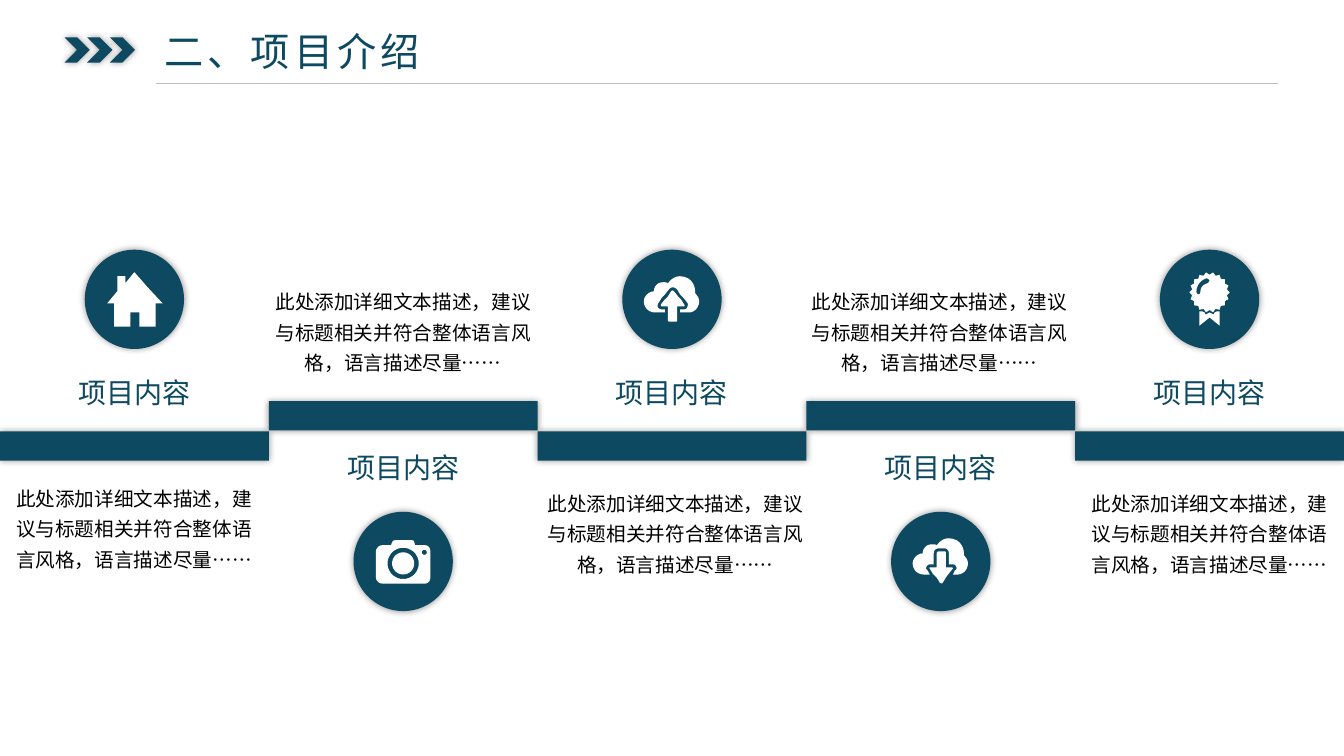
from dataclasses import dataclass
from math import cos, pi, sin

from lxml.etree import SubElement
from pptx import Presentation
from pptx.dml.color import RGBColor
from pptx.enum.shapes import MSO_CONNECTOR as Connector, MSO_SHAPE as Preset
from pptx.enum.text import MSO_ANCHOR as Anchor, MSO_AUTO_SIZE as AutoSize, PP_ALIGN as Align
from pptx.oxml.ns import qn
from pptx.util import Inches, Pt

COLORS = {"teal": "0D4960", "white": "FFFFFF", "black": "000000", "rule": "BFBFBF"}
HEADING_FONT, BODY_FONT = "Noto Sans CJK JP", "Noto Sans CJK SC"
DESCRIPTION = "此处添加详细文本描述，建议与标题相关并符合整体语言风格，语言描述尽量……"
COLUMN_WIDTH = 13.333 / 5
BAR_HEIGHT = 0.29
CIRCLE_SIZE = 0.985
CURVE_STEPS = 6

Step = tuple[float, ...]
Contour = list[Step]


def ring(x: float, y: float, outer: float, inner: float, count: int = 36) -> Contour:
    """Return a closed ring of points that alternate between two radii."""
    radii = (outer, inner)
    return [(x + radii[i % 2] * cos(2 * pi * i / count), y + radii[i % 2] * sin(2 * pi * i / count))
            for i in range(count)]


CLOUD_START: Contour = [
    (23, -6), (23, -7, 23, -8, 23, -8), (23, -16, 17, -23, 8, -23), (3, -23, -1, -20, -4, -16),
    (-5, -17, -7, -17, -9, -17), (-14, -17, -18, -13, -18, -8), (-23, -8, -28, -3, -28, 2),
    (-28, 8, -23, 13, -17, 13)]
CLOUD_END: Contour = [(17, 13), (22, 13, 27, 8, 27, 2), (27, -1, 25, -4, 23, -6)]
UP_NOTCH: Contour = [
    (-7, 13), (-7, 10), (-10, 10), (-12, 10, -13, 9, -14, 8), (-15, 6, -14, 4, -13, 3), (-10, -2),
    (-7, -5), (-3, -10), (-2, -11, -1, -12, 1, -12), (2, -12, 4, -11, 5, -10), (8, -5), (11, -2),
    (15, 3), (16, 4, 16, 6, 15, 8), (15, 9, 13, 10, 11, 10), (8, 10), (8, 13)]
DOWN_NOTCH: Contour = [
    (-11, 13), (-13, 9), (-15, 8, -15, 6, -14, 5), (-13, 3, -12, 3, -10, 3), (-7, 3), (-7, -8),
    (-7, -11, -5, -13, -2, -13), (4, -13), (6, -13, 8, -11, 8, -8), (8, 3), (11, 3),
    (13, 3, 15, 3, 15, 5), (16, 6, 16, 8, 14, 9), (12, 13)]
UP_ARROW: Contour = [
    (11, 7), (5, 7), (5, 21), (5, 22, 5, 22, 3, 22), (-2, 22), (-3, 22, -4, 22, -4, 21), (-4, 7),
    (-10, 7), (-11, 7, -11, 6, -11, 5), (-7, 0), (-4, -3), (-1, -8), (0, -9, 1, -9, 2, -8),
    (6, -3), (9, 0), (12, 5), (13, 6, 13, 7, 11, 7)]
DOWN_ARROW: Contour = [
    (12, 7), (8, 12), (5, 16), (2, 21), (1, 22, 0, 22, -1, 21), (-4, 16), (-8, 12), (-11, 7),
    (-11, 7, -12, 6, -11, 6), (-4, 6), (-4, -8), (-4, -9, -3, -10, -2, -10), (4, -10),
    (5, -10, 5, -9, 5, -8), (5, 6), (11, 6), (12, 6, 12, 7, 12, 7)]
CAMERA_BODY: Contour = [
    (27, -10), (27, 16), (27, 19, 25, 22, 22, 22), (-21, 22), (-24, 22, -27, 19, -27, 16),
    (-27, -10), (-27, -13, -24, -16, -21, -16), (-12, -16), (-11, -19),
    (-10, -20, -10, -21, -8, -21), (9, -21), (10, -21, 11, -20, 11, -19), (12, -16), (22, -16),
    (25, -16, 27, -13, 27, -10)]
BADGE_SHINE: Contour = [
    (-2, -16), (-6, -15, -9, -12, -9, -8), (-9, -6, -10, -5, -11, -5), (-12, -5, -13, -6, -13, -8),
    (-13, -14, -9, -19, -3, -21), (-2, -21, -1, -20, 0, -19), (0, -18, -1, -17, -2, -16)]
BADGE_RIBBON: Contour = [
    (9, 12), (10, 12), (10, 26), (0, 18), (-10, 26), (-10, 12), (-7, 12), (-5, 13), (-4, 15),
    (0, 13), (4, 15), (5, 13), (7, 12)]
HOUSE: Contour = [
    (28, 4), (21, 4), (21, 27), (5, 27), (5, 13), (-4, 13), (-4, 27), (-20, 27), (-20, 4),
    (-27, 4), (-17, -8), (-17, -23), (-9, -23), (-9, -16), (0, -27), (14, -11)]


@dataclass
class Item:
    """One column: its icon, its side of the timeline and its description box."""

    icon: list[Contour]
    raised: bool
    left: float
    top: float
    width: float


ITEMS = [
    Item([HOUSE], False, 0.16, 4.71, 2.34),
    Item([CAMERA_BODY, ring(0, 2, 15.5, 15.5), ring(0, 2, 11, 11), ring(21, -9, 2.5, 2.5)],
         True, 2.7, 2.76, 2.6),
    Item([CLOUD_START + UP_NOTCH + CLOUD_END, UP_ARROW], False, 5.4, 4.76, 2.6),
    Item([CLOUD_START + DOWN_NOTCH + CLOUD_END, DOWN_ARROW], True, 8.02, 2.76, 2.6),
    Item([ring(0, -7, 20, 17.5), BADGE_SHINE, BADGE_RIBBON], False, 10.78, 4.76, 2.44),
]


def paint(shape, color: str) -> None:
    """Give a shape a solid fill with no outline or inherited shadow."""
    shape.shadow.inherit = False
    shape.fill.solid()
    shape.fill.fore_color.rgb = RGBColor.from_string(COLORS[color])
    shape.line.fill.background()


def add_preset(page, preset, left: float, top: float, width: float, height: float) -> None:
    """Draw a teal preset shape with a soft shadow."""
    shape = page.shapes.add_shape(preset, *map(Inches, (left, top, width, height)))
    paint(shape, "teal")
    effects = shape._element.spPr.find(qn("a:effectLst"))
    shadow = SubElement(effects, qn("a:outerShdw"), blurRad=str(Pt(5)), dist="0", algn="ctr")
    shade = SubElement(shadow, qn("a:srgbClr"), val=COLORS["black"])
    SubElement(shade, qn("a:alpha"), val="40000")


def flatten(contour: Contour) -> list[tuple[float, float]]:
    """Turn lines and cubic curves in hundredths into points in thousandths."""
    points = [contour[0]]
    for step in contour[1:]:
        if len(step) == 2:
            points.append(step)
            continue
        anchors = [points[-1], step[:2], step[2:4], step[4:]]
        for i in range(1, CURVE_STEPS + 1):
            t = i / CURVE_STEPS
            weights = ((1 - t) ** 3, 3 * t * (1 - t) ** 2, 3 * t * t * (1 - t), t ** 3)
            points.append(tuple(sum(w * a[axis] for w, a in zip(weights, anchors))
                                for axis in (0, 1)))
    return [(10 * x, 10 * y) for x, y in points]


def add_icon(page, icon: list[Contour], x: float, y: float) -> None:
    """Draw a white icon centred on a point."""
    outlines = [flatten(contour) for contour in icon]
    builder = page.shapes.build_freeform(*outlines[0][0], scale=Inches(1) / 1000)
    for index, outline in enumerate(outlines):
        if index:
            builder.move_to(*outline[0])
        builder.add_line_segments(outline[1:], close=True)
    paint(builder.convert_to_shape(Inches(x), Inches(y)), "white")


def write(box, text: str, font: str, size: float, color: str, align, spacing: float = 1.0,
          insets: tuple[float, float] = (0.1, 0.05)):
    """Fill a text box with one formatted paragraph and return its span."""
    frame = box.text_frame
    across, down = map(Inches, insets)
    formats = {"word_wrap": True, "auto_size": AutoSize.SHAPE_TO_FIT_TEXT,
               "vertical_anchor": Anchor.TOP, "margin_left": across, "margin_right": across,
               "margin_top": down, "margin_bottom": down}
    para = frame.paragraphs[0]
    span = para.add_run()
    span.text = text
    for target, values in ((frame, formats), (para, {"alignment": align, "line_spacing": spacing}),
                           (span.font, {"name": font, "size": Pt(size)})):
        for name, value in values.items():
            setattr(target, name, value)
    span.font.color.rgb = RGBColor.from_string(COLORS[color])
    properties = span._r.get_or_add_rPr()
    properties.set("lang", "zh-CN")
    SubElement(properties, qn("a:ea"), typeface=font)
    return span


def add_header(page) -> None:
    """Draw the chevrons, the title and the rule under it."""
    for index in range(3):
        add_preset(page, Preset.CHEVRON, 0.64 + 0.225 * index, 0.37, 0.25, 0.25)
    title = page.shapes.title
    for name, value in {"left": 1.55, "top": 0.23, "width": 5.8, "height": 0.55}.items():
        setattr(title, name, Inches(value))
    span = write(title, "二、项目介绍", HEADING_FONT, 28, "teal", Align.LEFT, insets=(0.08, 0.04))
    span._r.rPr.set("spc", "300")
    rule = page.shapes.add_connector(Connector.STRAIGHT, *map(Inches, (1.55, 0.83, 12.68, 0.83)))
    rule.line.color.rgb = RGBColor.from_string(COLORS["rule"])
    rule.line.width = Pt(0.5)
    SubElement(rule._element.spPr, qn("a:effectLst"))


def add_item(page, item: Item, column: int) -> None:
    """Draw one column of the timeline."""
    left = COLUMN_WIDTH * column
    center = left + COLUMN_WIDTH / 2
    bar_top, label_top, icon_y = (3.98, 4.42, 5.57) if item.raised else (4.28, 3.68, 2.97)
    add_preset(page, Preset.RECTANGLE, left, bar_top, COLUMN_WIDTH, BAR_HEIGHT)
    add_preset(page, Preset.OVAL, center - CIRCLE_SIZE / 2, icon_y - CIRCLE_SIZE / 2,
               CIRCLE_SIZE, CIRCLE_SIZE)
    add_icon(page, item.icon, center, icon_y)
    label = page.shapes.add_textbox(*map(Inches, (center - 0.805, label_top, 1.61, 0.44)))
    write(label, "项目内容", HEADING_FONT, 20, "teal", Align.CENTER)
    box = page.shapes.add_textbox(*map(Inches, (item.left, item.top, item.width, 1.02)))
    write(box, DESCRIPTION, BODY_FONT, 14, "black", Align.CENTER, 1.3, (0, 0.05))


def main() -> None:
    """Build the deck and save it."""
    deck = Presentation()
    deck.slide_width, deck.slide_height = Inches(13.333), Inches(7.5)
    page = deck.slides.add_slide(deck.slide_layouts[5])
    add_header(page)
    for column, item in enumerate(ITEMS):
        add_item(page, item, column)
    deck.save("out.pptx")


if __name__ == "__main__":
    main()
